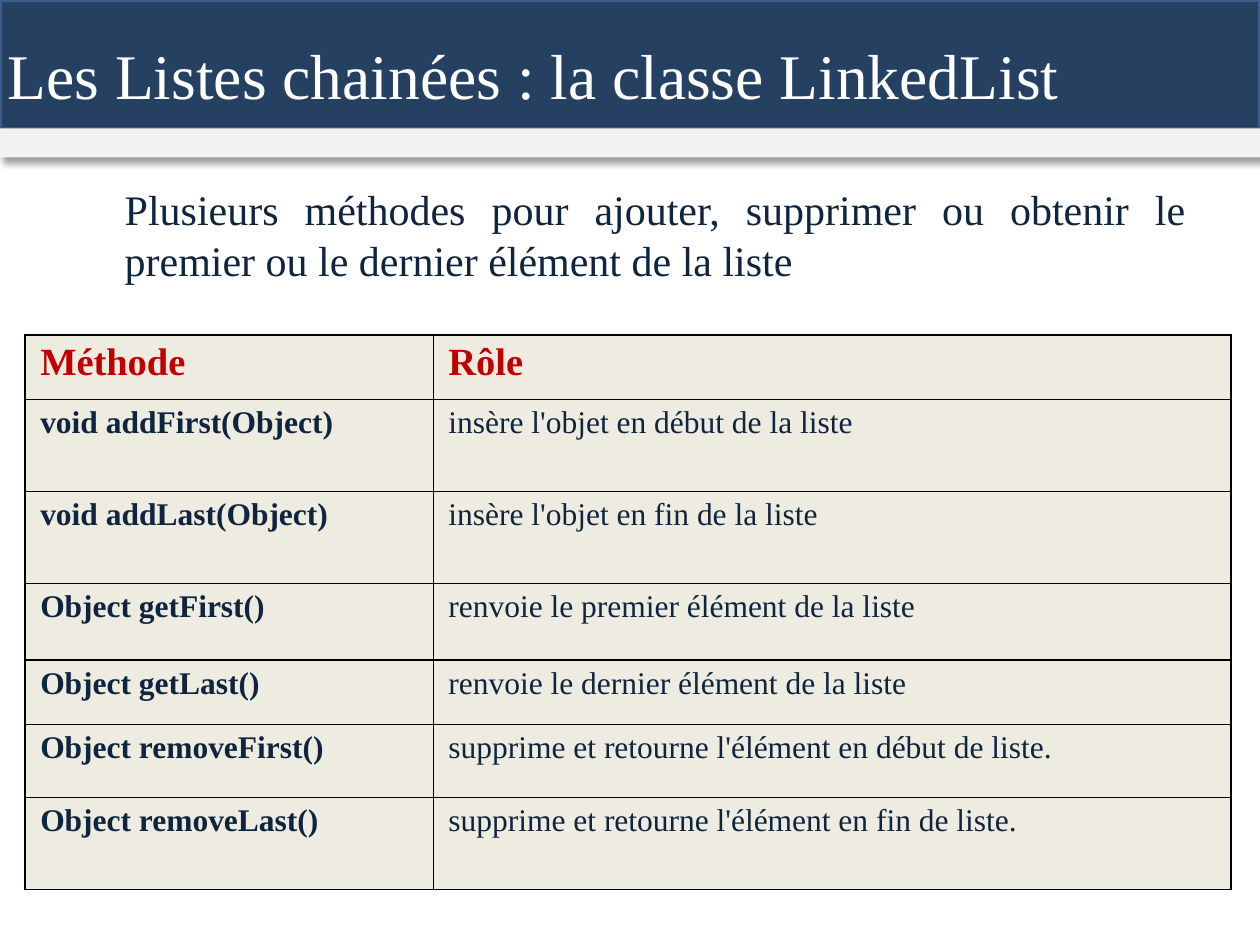
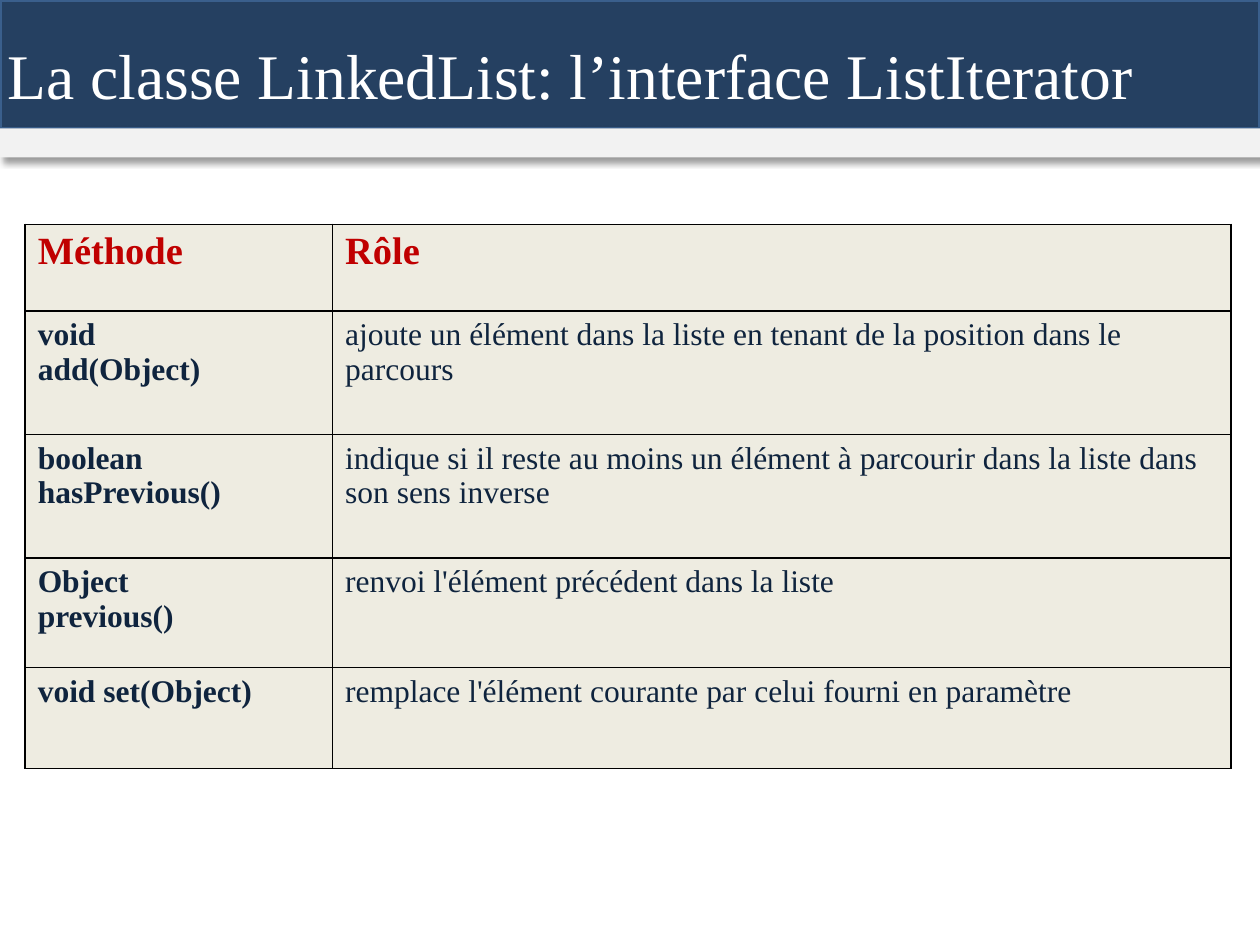
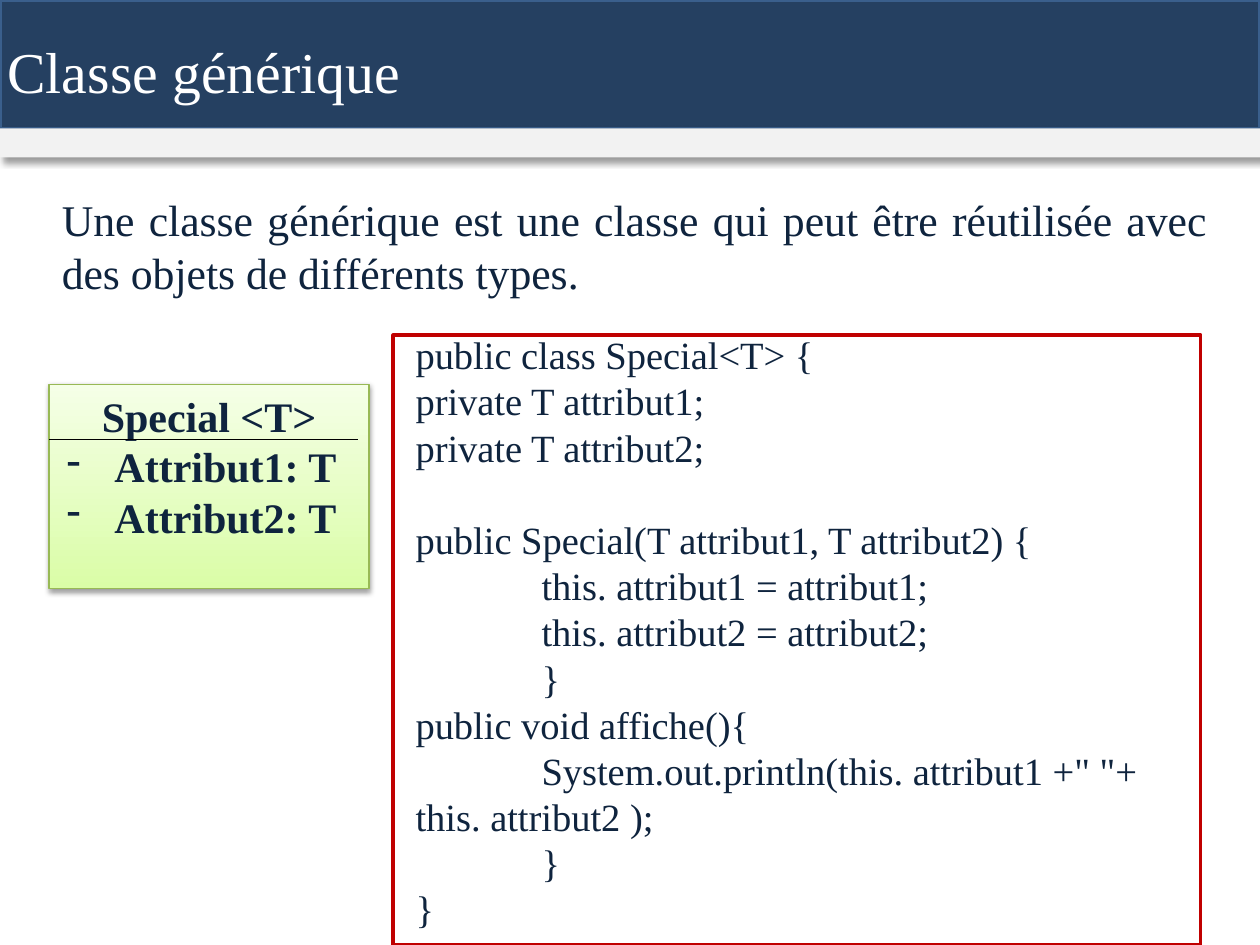
from lxml import etree
from pptx import Presentation
from pptx.dml.color import RGBColor
from pptx.enum.shapes import MSO_CONNECTOR, MSO_SHAPE
from pptx.enum.text import MSO_ANCHOR, MSO_AUTO_SIZE, PP_ALIGN
from pptx.oxml import parse_xml
from pptx.oxml.ns import nsdecls, qn
from pptx.util import Inches, Pt

RECT = MSO_SHAPE.RECTANGLE
LINE = MSO_CONNECTOR.STRAIGHT
TOP = MSO_ANCHOR.TOP
FIXED = MSO_AUTO_SIZE.NONE
LEFT, MID, JUST = PP_ALIGN.LEFT, PP_ALIGN.CENTER, PP_ALIGN.JUSTIFY

FONT = "Times New Roman"
HEX = {
    "navy": "254061", "edge": "3A5F8C", "pale": "F2F2F2", "white": "FFFFFF",
    "ink": "0F243E", "red": "C00000", "sand": "EEECE1", "black": "000000",
    "lime": "DAFDA7", "mint": "F5FFE7", "leaf": "98B955",
}

HEAD = ("Méthode", "Rôle")
LINKED = {
    "title": "Les Listes chainées : la classe LinkedList",
    "intro": "Plusieurs méthodes pour ajouter, supprimer ou obtenir le premier "
             "ou le dernier élément de la liste",
    "rows": [
        HEAD,
        ("void addFirst(Object)", "insère l'objet en début de la liste"),
        ("void addLast(Object)", "insère l'objet en fin de la liste"),
        ("Object getFirst()", "renvoie le premier élément de la liste"),
        ("Object getLast()", "renvoie le dernier élément de la liste"),
        ("Object removeFirst()", "supprime et retourne l'élément en début de liste."),
        ("Object removeLast()", "supprime et retourne l'élément en fin de liste."),
    ],
    "cols": (3.24, 6.33),
    "highs": (0.51, 0.73, 0.73, 0.61, 0.51, 0.58, 0.73),
}
ITER = {
    "title": "La classe LinkedList: l’interface ListIterator",
    "rows": [
        HEAD,
        ("void\nadd(Object)",
         "ajoute un élément dans la liste en tenant de la position dans le parcours"),
        ("boolean\nhasPrevious()",
         "indique si il reste au moins un élément à parcourir dans la liste "
         "dans son sens inverse"),
        ("Object\nprevious()", "renvoi l'élément précédent dans la liste"),
        ("void set(Object)", "remplace l'élément courante par celui fourni en paramètre"),
    ],
    "cols": (2.44, 7.13),
    "highs": (0.69, 0.98, 0.98, 0.87, 0.8),
}
GENERIC = {
    "title": "Classe générique",
    "intro": "Une classe générique est une classe qui peut être réutilisée avec "
             "des objets de différents types.",
    "uml": ["Special <T>", "Attribut1: T", "Attribut2: T"],
    "code": [
        (0, "public class Special<T> {"),
        (0, "private T attribut1;"),
        (0, "private T attribut2;"),
        (0, "public Special(T attribut1, T attribut2) {"),
        (1, "this. attribut1 = attribut1;"),
        (1, "this. attribut2 = attribut2;"),
        (1, "}"),
        (0, "public void affiche(){"),
        (1, "System.out.println(this. attribut1 +\" \"+ this. attribut2 );"),
        (1, "}"),
        (0, "}"),
    ],
    "gap": 3,
}


def tint(name):
    return RGBColor.from_string(HEX[name])


def place(shape, box):
    shape.left, shape.top, shape.width, shape.height = map(Inches, box)


def style(frame, size, color="ink", bold=False, align=LEFT, lead=None):
    for para in frame.paragraphs:
        para.alignment = align
        if lead:
            para.line_spacing = lead
        for run in para.runs:
            font = run.font
            font.name, font.size, font.bold = FONT, Pt(size), bold
            font.color.rgb = tint(color)


def setup(frame):
    frame.word_wrap = True
    frame.auto_size = FIXED
    frame.vertical_anchor = TOP


def indent(para, left, first, mark=None):
    props = para._p.get_or_add_pPr()
    props.set("marL", str(Inches(left)))
    props.set("indent", str(Inches(first)))
    bullet = etree.SubElement(props, qn("a:buChar" if mark else "a:buNone"))
    if mark:
        bullet.set("char", mark)


def shade(shape, alpha, blur, dist, angle):
    shape.shadow.inherit = False
    shape._element.spPr.find(qn("a:effectLst")).append(parse_xml(
        f'<a:outerShdw {nsdecls("a")} blurRad="{Pt(blur)}" dist="{Pt(dist)}" '
        f'dir="{angle * 60000}" algn="tl" rotWithShape="0"><a:srgbClr val="{HEX["black"]}">'
        f'<a:alpha val="{alpha * 1000}"/></a:srgbClr></a:outerShdw>'))


def stroke(line, color, width):
    line.color.rgb = tint(color)
    line.width = Pt(width)


def band(slide, top, high, color, depth):
    shape = slide.shapes.add_shape(RECT, 0, Inches(top), Inches(10), Inches(high))
    shape.fill.solid()
    shape.fill.fore_color.rgb = tint(color)
    shape.line.fill.background()
    shade(shape, 40, 4, 3, 45)
    slide.shapes._spTree.insert(depth, shape._element)
    return shape


def start(data, box, size, lead=None):
    slide = deck.slides.add_slide(deck.slide_layouts[1 if "intro" in data else 5])
    title = slide.shapes.title
    place(title, box)
    frame = title.text_frame
    frame.text = data["title"]
    setup(frame)
    style(frame, size, "white", lead=lead)
    stroke(band(slide, 0, 1.02, "navy", 2).line, "edge", 2)
    band(slide, 1.02, 0.23, "pale", 3)
    return slide


def intro(slide, text, box, size, left):
    body = slide.placeholders[1]
    place(body, box)
    frame = body.text_frame
    frame.text = text
    setup(frame)
    style(frame, size, align=JUST)
    indent(frame.paragraphs[0], left, 0)


def border(cell):
    props = cell._tc.get_or_add_tcPr()
    for spot, side in enumerate(("lnL", "lnR", "lnT", "lnB")):
        props.insert(spot, parse_xml(
            f'<a:{side} {nsdecls("a")} w="{Pt(1)}"><a:solidFill>'
            f'<a:srgbClr val="{HEX["black"]}"/></a:solidFill></a:{side}>'))


def grid(slide, data, top, pad):
    rows, cols, highs = data["rows"], data["cols"], data["highs"]
    table = slide.shapes.add_table(
        len(rows), len(cols), Inches(0.2), Inches(top),
        Inches(sum(cols)), Inches(sum(highs))).table
    for col, wide in zip(table.columns, cols):
        col.width = Inches(wide)
    for r, (row, high) in enumerate(zip(rows, highs)):
        table.rows[r].height = Inches(high)
        for c, text in enumerate(row):
            cell = table.cell(r, c)
            cell.text_frame.text = text
            cell.margin_left = Inches(pad)
            cell.fill.solid()
            cell.fill.fore_color.rgb = tint("sand")
            border(cell)
            if r == 0:
                style(cell.text_frame, 22, "red", True)
            else:
                style(cell.text_frame, 18, bold=c == 0)


def listing(slide, lines, gap):
    box = slide.shapes.add_textbox(*map(Inches, (3.2, 2.58, 6.46, 4.91)))
    frame = box.text_frame
    setup(frame)
    frame.text = "\n".join(text for _, text in lines)
    style(frame, 22)
    frame.paragraphs[gap].space_before = Pt(26.4)
    for para, (level, _) in zip(frame.paragraphs, lines):
        indent(para, 0, level)
    rim = slide.shapes.add_shape(RECT, *map(Inches, (3.12, 2.66, 6.41, 4.84)))
    rim.shadow.inherit = False
    rim.fill.background()
    stroke(rim.line, "red", 2)


def diagram(slide, lines):
    group = slide.shapes.add_group_shape()
    card = group.shapes.add_shape(RECT, *map(Inches, (0.39, 3.05, 2.54, 1.62)))
    card.fill.gradient()
    card.fill.gradient_angle = 90
    for stop, color in zip(card.fill.gradient_stops, ("lime", "mint")):
        stop.color.rgb = tint(color)
    stroke(card.line, "leaf", 0.75)
    shade(card, 38, 3.1, 1.6, 90)
    frame = card.text_frame
    setup(frame)
    frame.text = "\n".join(lines)
    style(frame, 24, bold=True)
    frame.paragraphs[0].alignment = MID
    for para in frame.paragraphs[1:]:
        indent(para, 0.42, -0.38, "-")
    rule = group.shapes.add_connector(LINE, *map(Inches, (0.39, 3.49, 2.84, 3.49)))
    stroke(rule.line, "black", 0.75)
    etree.SubElement(rule._element.spPr, qn("a:effectLst"))


deck = Presentation()
deck.slide_width, deck.slide_height = Inches(10), Inches(7.5)

slide = start(LINKED, (-0.04, 0.3, 8.95, 0.77), 36.3, 0.9)
intro(slide, LINKED["intro"], (0.51, 1.41, 9, 5.05), 24, 0.38)
grid(slide, LINKED, 2.66, 0.12)

slide = start(ITER, (-0.04, 0.3, 9.34, 0.77), 36.3, 0.9)
grid(slide, ITER, 1.78, 0.1)

slide = start(GENERIC, (-0.04, 0.23, 10.04, 1.25), 33)
intro(slide, GENERIC["intro"], (0.39, 1.48, 9.29, 0.94), 25, 0)
listing(slide, GENERIC["code"], GENERIC["gap"])
diagram(slide, GENERIC["uml"])

deck.save("out.pptx")
